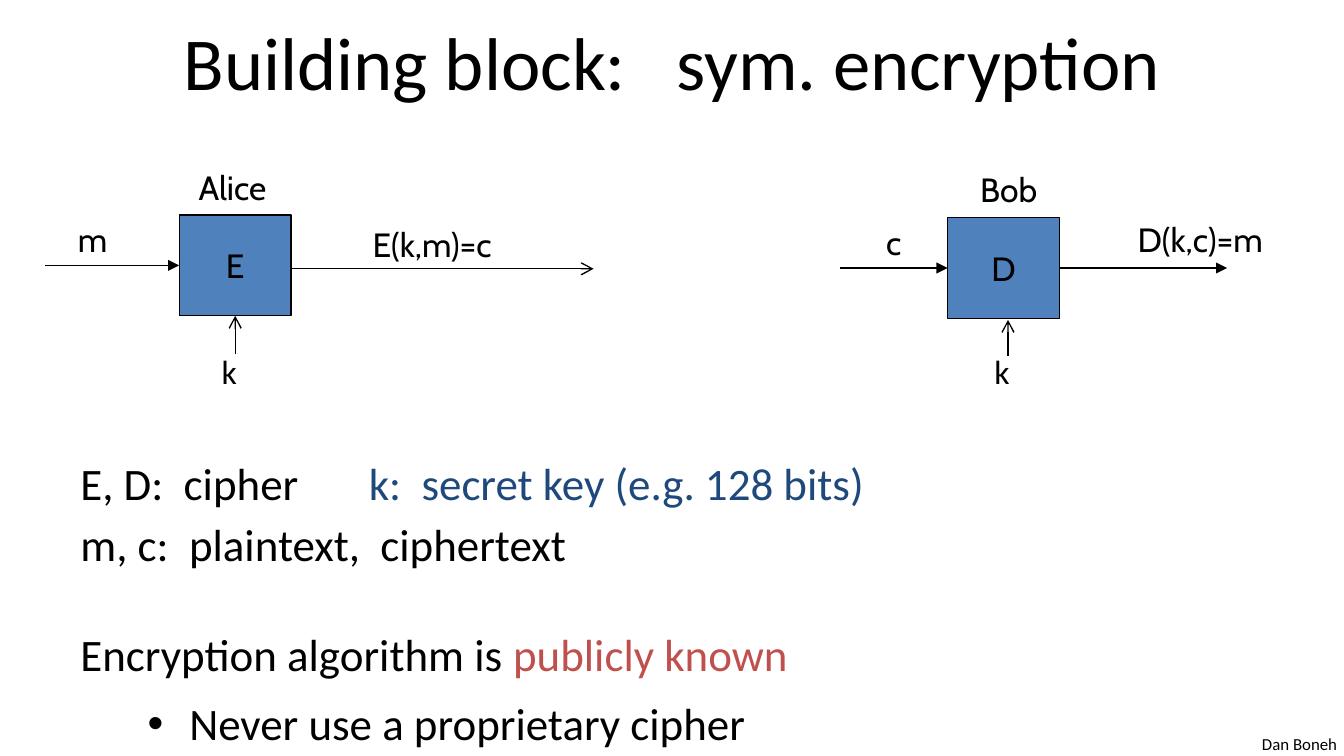
from dataclasses import dataclass
from lxml.etree import SubElement
from pptx import Presentation
from pptx.dml.color import RGBColor
from pptx.enum.shapes import MSO_CONNECTOR, MSO_SHAPE
from pptx.enum.text import MSO_ANCHOR, PP_ALIGN
from pptx.oxml.ns import qn
from pptx.util import Pt


@dataclass(frozen=True)
class Theme:
    ink: RGBColor = RGBColor(0, 0, 0)
    cipher: RGBColor = RGBColor(0x4F, 0x81, 0xBD)
    key: RGBColor = RGBColor(0x1F, 0x49, 0x7D)
    public: RGBColor = RGBColor(0xC0, 0x50, 0x4D)
    text_font: str = "Calibri"
    diagram_font: str = "Cabin"
    title_size: float = 40
    body_size: float = 24.1
    label_size: float = 18
    footer_size: float = 9
    line_width: float = 0.75


class DiagramSlide:
    """Draws the elements of a cipher diagram on one slide."""

    def __init__(self, slide, theme):
        self.slide = slide
        self.theme = theme

    def style(self, font, name, size, color=None):
        font.name = name
        font.size = Pt(size)
        font.color.rgb = color or self.theme.ink

    def frame(self, left, top, width, height, wrap=False):
        box = self.slide.shapes.add_textbox(Pt(left), Pt(top), Pt(width), Pt(height))
        box.text_frame.word_wrap = wrap
        return box.text_frame

    def label(self, text, left, top, width, height=28.8, size=None, font=None,
              align=PP_ALIGN.CENTER, anchor=MSO_ANCHOR.TOP):
        frame = self.frame(left, top, width, height)
        frame.vertical_anchor = anchor
        frame.text = text
        line = frame.paragraphs[0]
        line.alignment = align
        self.style(line.runs[0].font, font or self.theme.diagram_font,
                   size or self.theme.label_size)

    def cipher(self, text, left, top, width=60, height=54):
        box = self.slide.shapes.add_shape(
            MSO_SHAPE.RECTANGLE, Pt(left), Pt(top), Pt(width), Pt(height))
        box.shadow.inherit = False
        box.fill.solid()
        box.fill.fore_color.rgb = self.theme.cipher
        box.line.color.rgb = self.theme.ink
        box.line.width = Pt(self.theme.line_width)
        frame = box.text_frame
        frame.word_wrap = False
        frame.vertical_anchor = MSO_ANCHOR.MIDDLE
        frame.text = text
        frame.paragraphs[0].alignment = PP_ALIGN.CENTER
        self.style(frame.paragraphs[0].runs[0].font, self.theme.diagram_font,
                   self.theme.label_size)
        return box

    def arrow(self, start, end, head="triangle", source=None, target=None):
        arrow = self.slide.shapes.add_connector(
            MSO_CONNECTOR.STRAIGHT, *(Pt(value) for value in (*start, *end)))
        if source:
            arrow.begin_connect(*source)
        if target:
            arrow.end_connect(*target)
        arrow.line.color.rgb = self.theme.ink
        arrow.line.width = Pt(self.theme.line_width)
        properties = arrow.element.spPr
        SubElement(properties.find(qn("a:ln")), qn("a:tailEnd"), type=head)
        SubElement(properties, qn("a:effectLst"))

    def notation(self, lines, left, top, width, height, tab):
        frame = self.frame(left, top, width, height, wrap=True)
        for index, (before, bullet, parts) in enumerate(lines):
            line = frame.add_paragraph() if index else frame.paragraphs[0]
            properties = line._p.get_or_add_pPr()
            if bullet:
                properties.set("marL", str(Pt(58.3)))
                properties.set("indent", str(Pt(-22.3)))
                SubElement(properties, qn("a:buFont"), typeface="Arial")
                SubElement(properties, qn("a:buChar"), char="•")
            elif any("\t" in text for text, _ in parts):
                stops = SubElement(properties, qn("a:tabLst"))
                SubElement(stops, qn("a:tab"), pos=str(Pt(tab)), algn="l")
            if before:
                line.space_before = Pt(before)
            for text, color in parts:
                run = line.add_run()
                run.text = text
                self.style(run.font, self.theme.text_font, self.theme.body_size, color)


def main():
    deck = Presentation()
    deck.slide_width, deck.slide_height = Pt(720), Pt(405)
    theme = Theme()
    page = DiagramSlide(deck.slides.add_slide(deck.slide_layouts[6]), theme)

    page.label("Dan Boneh", 669, 389.5, 55, 18, theme.footer_size,
               theme.text_font, PP_ALIGN.LEFT)
    page.label("Building block:   sym. encryption", 36, -1.5, 648, 68,
               theme.title_size, theme.text_font, anchor=MSO_ANCHOR.MIDDLE)
    page.notation([
        (0, False, [("E, D:  cipher\t", theme.ink),
                    ("k:  secret key (e.g. 128 bits)", theme.key)]),
        (4, False, [("m, c:  plaintext,  ciphertext", theme.ink)]),
        (30, False, [("Encryption algorithm is ", theme.ink),
                     ("publicly known", theme.public)]),
        (8, True, [("Never use a proprietary cipher", theme.ink)]),
    ], 36, 240.5, 644, 153, tab=154.5)

    encryption = page.cipher("E", 96, 115.2)
    decryption = page.cipher("D", 507.6, 116.6)

    for text, left, top, width in (
            ("Alice", 98.6, 85.7, 52), ("m", 34.6, 113.8, 29.5),
            ("E(k,m)=c", 186.5, 116.6, 90), ("Bob", 517.7, 87.1, 45.4),
            ("c", 467.3, 115.2, 23), ("D(k,c)=m", 596.9, 113.8, 92.2)):
        page.label(text, left, top, width)
    for key_left in (111.6, 525.6):
        page.label("k", key_left, 184.3, 23, font=theme.text_font, align=PP_ALIGN.LEFT)

    page.arrow((24, 142.2), (96, 142.2), target=(encryption, 1))
    page.arrow((156, 144), (318, 144), "arrow")
    page.arrow((126, 189.4), (126, 169.2), "arrow", target=(encryption, 2))
    page.arrow((450, 143.6), (507.6, 143.6), target=(decryption, 1))
    page.arrow((567.6, 143.6), (657.4, 143.6), source=(decryption, 3))
    page.arrow((540, 190.8), (540, 171.4), "arrow")

    deck.save("out.pptx")


if __name__ == "__main__":
    main()
